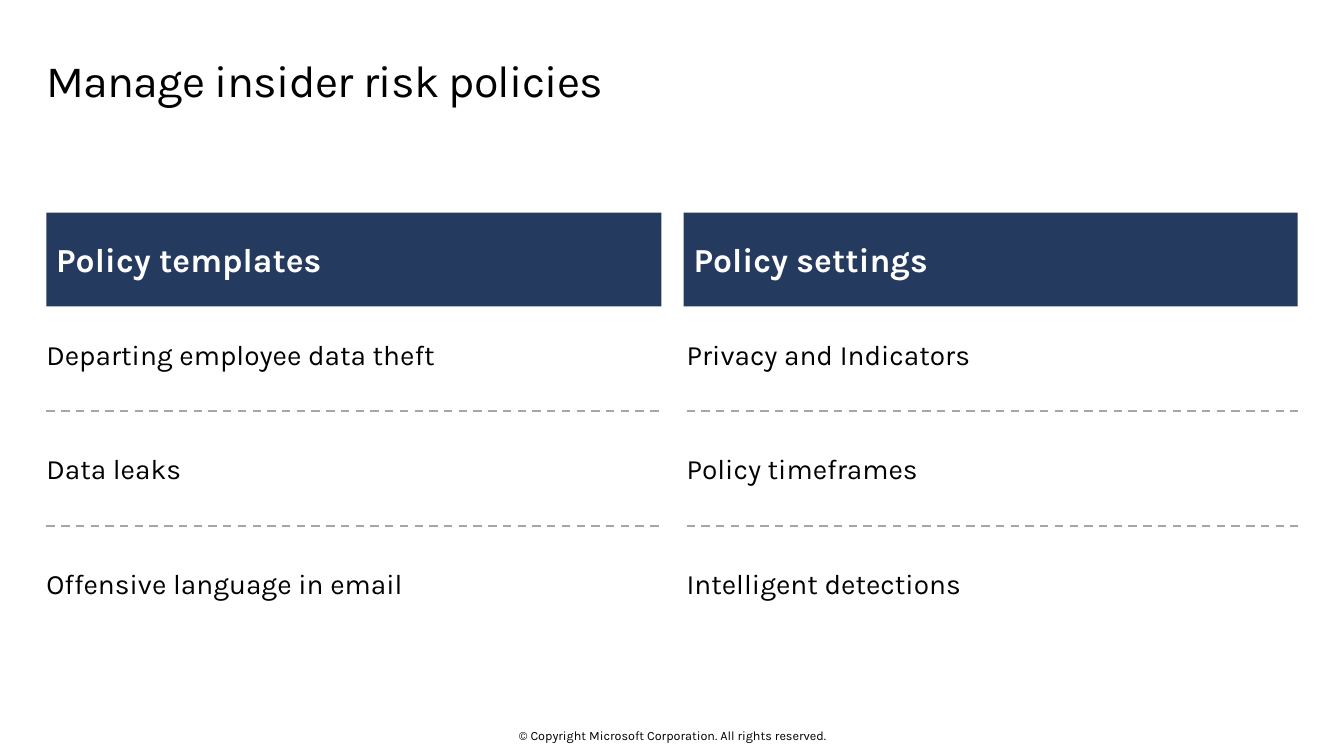
import dataclasses

import pptx
import pptx.dml.color
import pptx.enum.dml
import pptx.enum.shapes
import pptx.enum.text
import pptx.oxml.ns
import pptx.util
from pptx.util import Inches


@dataclasses.dataclass(frozen=True)
class Theme:
    """Colours, font and type sizes of the slide."""
    font: str = "Karla"
    ink: str = "000000"
    paper: str = "FFFFFF"
    navy: str = "243A5E"
    rule: str = "A6A6A6"
    title_size: int = 32
    header_size: int = 24
    item_size: int = 20
    footer_size: int = 9
    rule_width: float = 1.5


THEME = Theme()
ALIGN = pptx.enum.text.PP_ALIGN
ANCHOR = pptx.enum.text.MSO_ANCHOR
ROW_PITCH = 1.135
COLUMNS = [
    ("Policy templates", (0.46, 2.11, 6.1), (0.46, 6.08), 6.1,
     ["Departing employee data theft", "Data leaks", "Offensive language in email"]),
    ("Policy settings", (6.78, 2.11, 6.09), (6.81, 6.06), 6.06,
     ["Privacy and Indicators", "Policy timeframes", "Intelligent detections"]),
]


def colour(value):
    """Turn a hex string into a colour."""
    return pptx.dml.color.RGBColor.from_string(value)


def write(shape, text, size, ink=THEME.ink, bold=False, align=ALIGN.LEFT,
          anchor=ANCHOR.MIDDLE, insets=(0, 0, 0, 0)):
    """Set and format a single paragraph in a shape."""
    frame = shape.text_frame
    frame.text = text
    frame.word_wrap = True
    frame.auto_size = pptx.enum.text.MSO_AUTO_SIZE.NONE
    frame.vertical_anchor = anchor
    frame.margin_left, frame.margin_top, frame.margin_right, frame.margin_bottom = map(Inches, insets)
    para = frame.paragraphs[0]
    para.alignment = align
    span = para.runs[0]
    span.font.name = THEME.font
    span.font.size = pptx.util.Pt(size)
    span.font.bold = bold
    span.font.color.rgb = colour(ink)
    return para


def add_title(page, text, left, top, width, height):
    """Place the title placeholder in its box."""
    title = page.shapes.title
    title.left, title.top, title.width, title.height = map(Inches, (left, top, width, height))
    para = write(title, text, THEME.title_size, anchor=ANCHOR.TOP, insets=(0, 0.1, 0.16, 0.1))
    para.line_spacing = 0.9
    para.runs[0].font._element.set("spc", "-50")


def add_text(page, text, size, left, top, width, height, align=ALIGN.LEFT):
    """Place plain text in a box."""
    box = page.shapes.add_textbox(*map(Inches, (left, top, width, height)))
    write(box, text, size, align=align)


def add_header(page, text, left, top, width, height=0.93):
    """Place a navy column header."""
    header = page.shapes.add_shape(pptx.enum.shapes.MSO_SHAPE.RECTANGLE,
                                   *map(Inches, (left, top, width, height)))
    header.shadow.inherit = False
    header.fill.solid()
    header.fill.fore_color.rgb = colour(THEME.navy)
    header.line.fill.background()
    write(header, text, THEME.header_size, THEME.paper, True, insets=(0.1,) * 4)


def add_rule(page, left, top, width):
    """Draw a dashed rule between two items."""
    rule = page.shapes.add_connector(pptx.enum.shapes.MSO_CONNECTOR.STRAIGHT,
                                     *map(Inches, (left, top, left + width, top)))
    rule.line.color.rgb = colour(THEME.rule)
    rule.line.width = pptx.util.Pt(THEME.rule_width)
    rule.line.dash_style = pptx.enum.dml.MSO_LINE.DASH
    properties = rule._element.spPr
    properties.append(properties.makeelement(pptx.oxml.ns.qn("a:effectLst"), {}))


def add_column(page, heading, header_box, item_box, rule_width, items):
    """Build a header with its list of items and separating rules."""
    add_header(page, heading, *header_box)
    left, width = item_box
    first_top = header_box[1] + 0.98
    for index, item in enumerate(items):
        top = first_top + index * ROW_PITCH
        add_text(page, item, THEME.item_size, left, top, width, 0.85)
        if index < len(items) - 1:
            add_rule(page, left, top + 0.99, rule_width)


def main():
    """Build and save the deck."""
    deck = pptx.Presentation()
    deck.slide_width, deck.slide_height = Inches(13.33), Inches(7.5)
    page = deck.slides.add_slide(deck.slide_layouts.get_by_name("Title Only"))
    page.background.fill.solid()
    page.background.fill.fore_color.rgb = colour(THEME.paper)
    add_title(page, "Manage insider risk policies", 0.46, 0.48, 12.4, 0.74)
    for column in COLUMNS:
        add_column(page, *column)
    add_text(page, "© Copyright Microsoft Corporation. All rights reserved.",
             THEME.footer_size, 4.42, 7.22, 4.5, 0.15, ALIGN.CENTER)
    deck.save("out.pptx")


if __name__ == "__main__":
    main()
